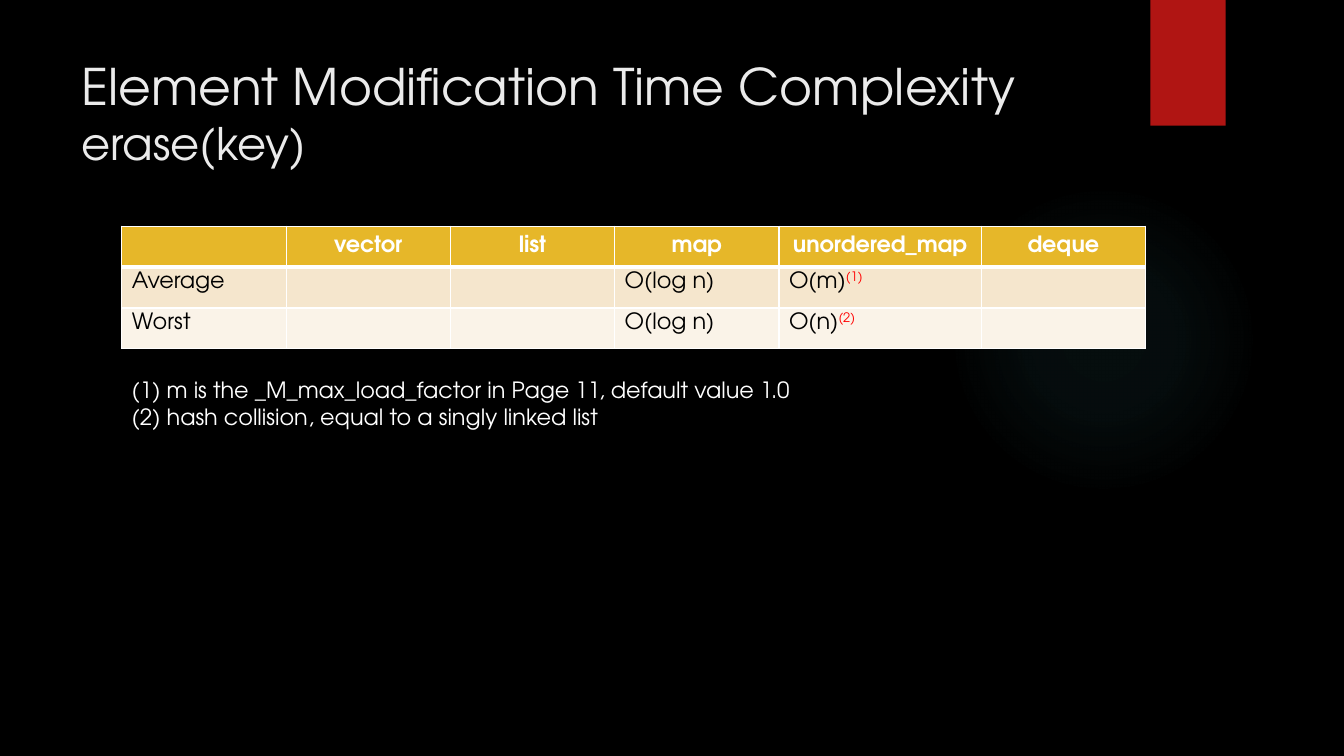
import pptx
import pptx.dml.color
import pptx.enum.shapes
import pptx.enum.text
import pptx.oxml
import pptx.oxml.ns
import pptx.util
from pptx.util import Cm

FONT = "TeX Gyre Adventor"
WHITE, RED = "FFFFFF", "FF0000"
HEADER_FILL = "E6B729"
BODY_FILLS = ["F5E6CD", "FAF3E8"]
HEADINGS = ["", "vector", "list", "map", "unordered_map", "deque"]
# A cell is a tuple of its text and an optional footnote mark.
COMPLEXITIES = [
    [("Average",), (), (), ("O(log n)",), ("O(m)", "(1)"), ()],
    [("Worst",), (), (), ("O(log n)",), ("O(n)", "(2)"), ()],
]
FOOTNOTES = [
    "(1) m is the _M_max_load_factor in Page 11, default value 1.0",
    "(2) hash collision, equal to a singly linked list",
]


def color(hex_code):
    return pptx.dml.color.RGBColor.from_string(hex_code)


def add_run(paragraph, text, hex_code, **formats):
    run = paragraph.add_run()
    run.text = text
    run.font.color.rgb = color(hex_code)
    for name, value in {"name": FONT, "size": pptx.util.Pt(16), **formats}.items():
        setattr(run.font, name, value)
    return run


def add_text_frame(slide, left, top, width, height):
    frame = slide.shapes.add_textbox(left, top, width, height).text_frame
    frame.word_wrap = True
    return frame


def add_plain_shape(slide, kind, left, top, width, height, hex_code):
    shape = slide.shapes.add_shape(kind, left, top, width, height)
    shape.shadow.inherit = False
    shape.fill.solid()
    shape.fill.fore_color.rgb = color(hex_code)
    shape.line.fill.background()
    return shape


def add_glow(slide):
    """Add the faint round light, fading out from its centre."""
    hue = "50B9C1"
    glow = add_plain_shape(slide, pptx.enum.shapes.MSO_SHAPE.OVAL,
                           Cm(23.9), Cm(4.65), Cm(7.82), Cm(7.82), hue)
    stops = "".join(
        f'<a:gs pos="{position * 1000}"><a:srgbClr val="{hue}">'
        f'<a:alpha val="{opacity * 1000}"/></a:srgbClr></a:gs>'
        for position, opacity in [(0, 7), (36, 6), (69, 0), (100, 0)])
    gradient = pptx.oxml.parse_xml(
        f'<a:gradFill {pptx.oxml.ns.nsdecls("a")}><a:gsLst>{stops}</a:gsLst>'
        '<a:path path="circle"><a:fillToRect l="50000" t="50000" r="50000" b="50000"/>'
        '</a:path></a:gradFill>')
    properties = glow._element.spPr
    properties.replace(properties.find(pptx.oxml.ns.qn("a:solidFill")), gradient)


def add_title(slide):
    title = add_text_frame(slide, Cm(1.8), Cm(1.27), Cm(26.14), Cm(3.89)).paragraphs[0]
    add_run(title, "Element Modification Time Complexity", "EBEBEB",
            size=pptx.util.Pt(36))
    title.add_line_break()
    add_run(title, "erase(key)", "EBEBEB", size=pptx.util.Pt(32))


def style_cell(cell, hex_code, **border_widths):
    """Fill a cell and draw white borders, 1 pt unless a side is given."""
    properties = cell._tc.get_or_add_tcPr()
    for side, points in {"L": 1, "R": 1, "T": 1, "B": 1, **border_widths}.items():
        properties.append(pptx.oxml.parse_xml(
            f'<a:ln{side} {pptx.oxml.ns.nsdecls("a")} w="{pptx.util.Pt(points)}">'
            f'<a:solidFill><a:srgbClr val="{WHITE}"/></a:solidFill></a:ln{side}>'))
    cell.fill.solid()
    cell.fill.fore_color.rgb = color(hex_code)


def add_complexity_table(slide):
    table = slide.shapes.add_table(
        len(COMPLEXITIES) + 1, len(HEADINGS),
        Cm(3.07), Cm(5.7), Cm(25.8), Cm(3.09)).table
    for column, heading in enumerate(HEADINGS):
        table.columns[column].width = Cm(5.1 if heading == "unordered_map" else 4.14)
        cell = table.cell(0, column)
        style_cell(cell, HEADER_FILL, B=3)
        if heading:
            cell.vertical_anchor = pptx.enum.text.MSO_ANCHOR.MIDDLE
            paragraph = cell.text_frame.paragraphs[0]
            paragraph.alignment = pptx.enum.text.PP_ALIGN.CENTER
            add_run(paragraph, heading, WHITE, bold=True)
    for row, (fill, entries) in enumerate(zip(BODY_FILLS, COMPLEXITIES), start=1):
        for column, entry in enumerate(entries):
            cell = table.cell(row, column)
            style_cell(cell, fill, T=3 if row == 1 else 1)
            paragraph = cell.text_frame.paragraphs[0]
            for text in entry[:1]:
                add_run(paragraph, text, "000000", bold=False)
            for mark in entry[1:]:
                run = add_run(paragraph, mark, RED, bold=False)
                run.font._element.set("baseline", "30000")


def add_footnotes(slide):
    frame = add_text_frame(slide, Cm(3.07), Cm(9.35), Cm(17.42), Cm(3.94))
    for index, note in enumerate(FOOTNOTES):
        paragraph = frame.add_paragraph() if index else frame.paragraphs[0]
        add_run(paragraph, note, WHITE)


def main():
    presentation = pptx.Presentation()
    presentation.slide_width, presentation.slide_height = Cm(33.87), Cm(19.05)
    slide = presentation.slides.add_slide(presentation.slide_layouts[6])
    slide.background.fill.solid()
    slide.background.fill.fore_color.rgb = color("000000")
    add_glow(slide)
    add_plain_shape(slide, pptx.enum.shapes.MSO_SHAPE.RECTANGLE,
                    Cm(28.99), Cm(0), Cm(1.9), Cm(3.17), "B01513")
    add_title(slide)
    add_complexity_table(slide)
    add_footnotes(slide)
    presentation.save("out.pptx")


if __name__ == "__main__":
    main()
